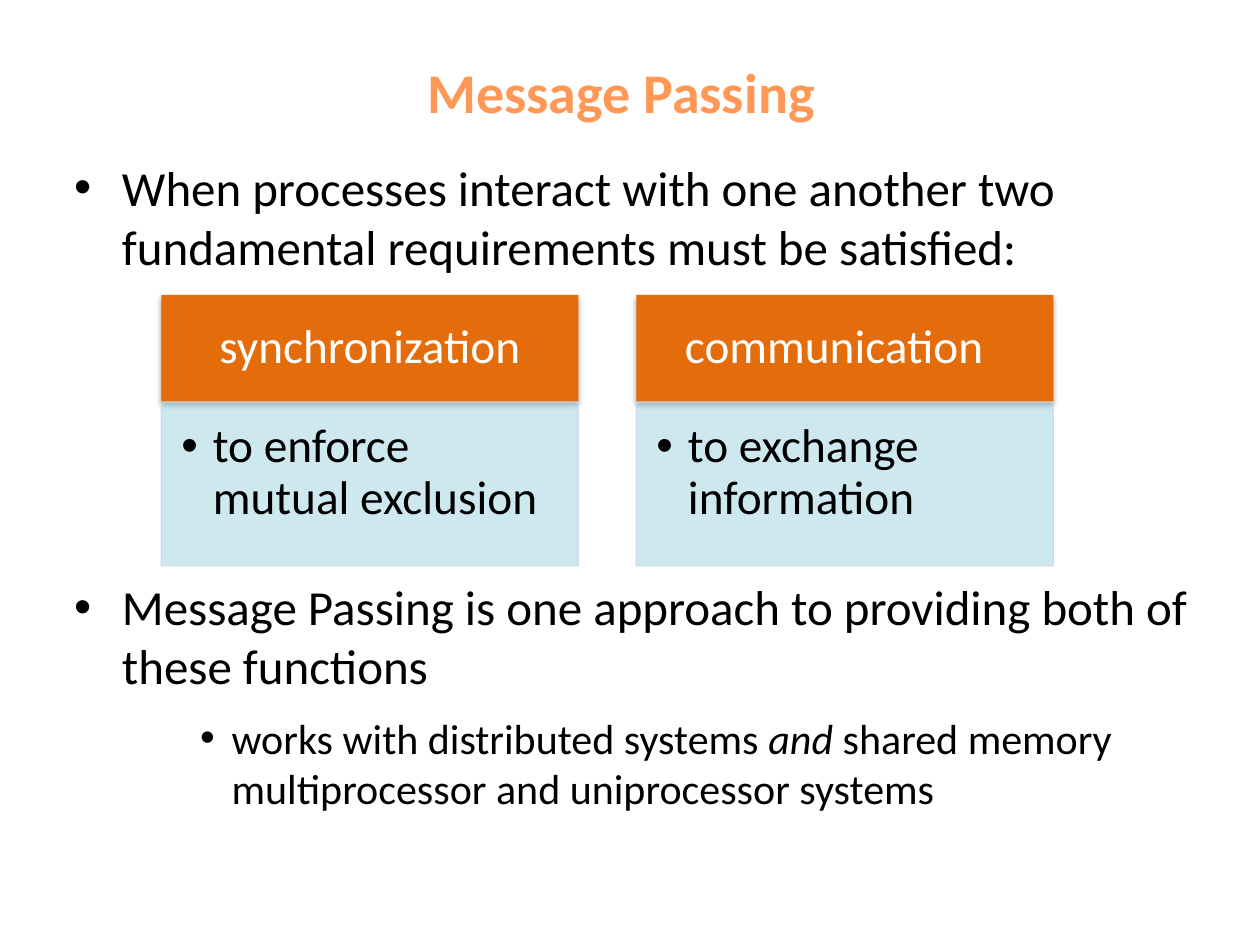
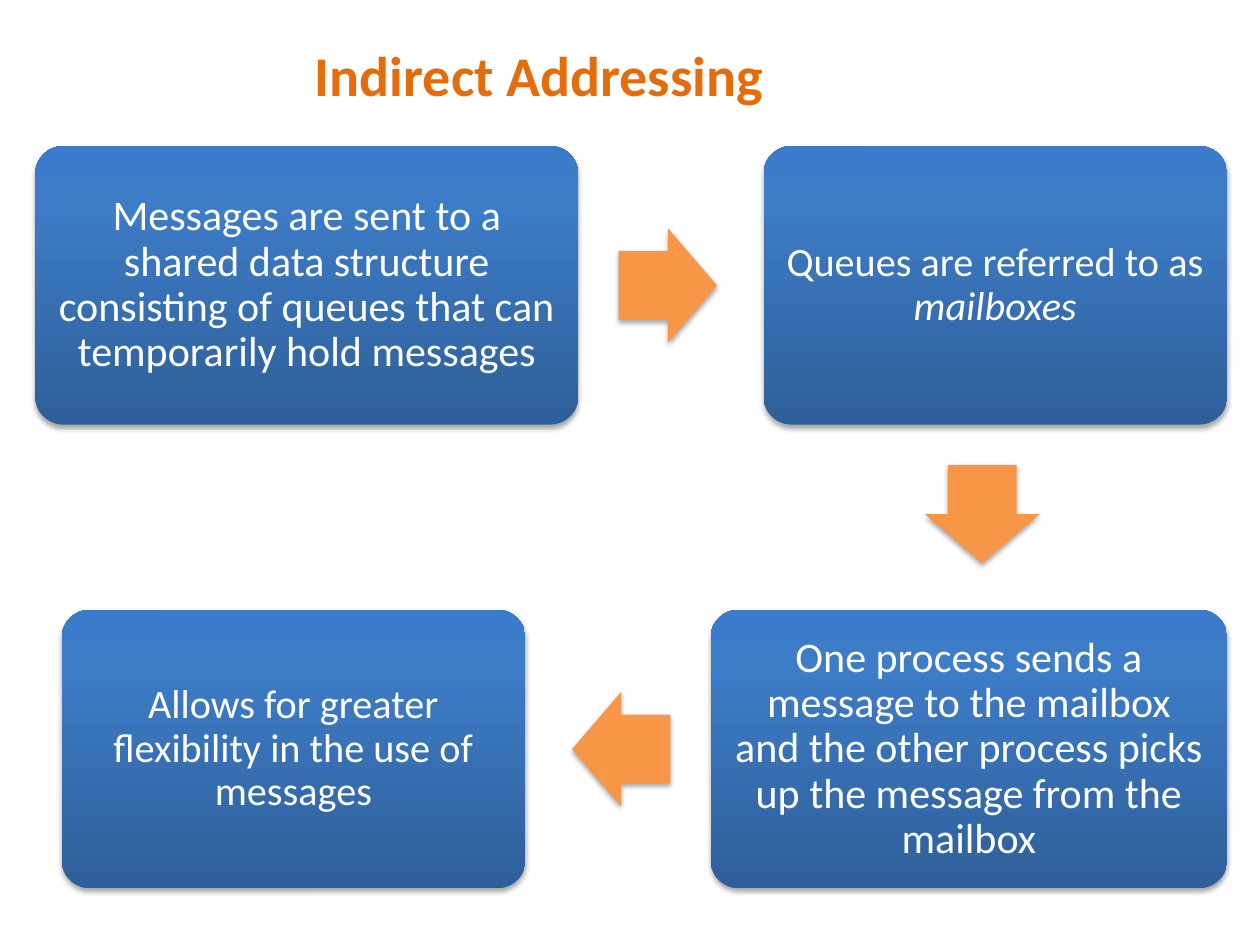
from dataclasses import dataclass

from lxml import etree
from pptx import Presentation
from pptx.dml.color import RGBColor as RGB
from pptx.enum.shapes import MSO_SHAPE as SHAPE
from pptx.enum.text import MSO_ANCHOR as ANCHOR, PP_ALIGN as ALIGN
from pptx.oxml import parse_xml
from pptx.oxml.ns import nsdecls, qn
from pptx.util import Inches, Pt


@dataclass(frozen=True)
class Theme:
    font: str = "Calibri"
    title_light: str = "FF9856"
    orange: str = "E46C0A"
    arrow: str = "F79646"
    panel: str = "93CDDD"
    panel_line: str = "D0D8E8"
    black: str = "000000"
    white: str = "FFFFFF"
    step_stops: tuple = ((0, "2F5F99"), (80, "3D7CC7"), (100, "3A7CCB"))
    title_size: int = 32
    body_size: int = 28
    card_size: int = 27
    sub_size: int = 24
    small_step_size: int = 23


T = Theme()


@dataclass(frozen=True)
class Box:
    x: float
    y: float
    w: float
    h: float

    @property
    def cx(self):
        return self.x + self.w / 2

    @property
    def cy(self):
        return self.y + self.h / 2

    def emu(self):
        return [Inches(v) for v in (self.x, self.y, self.w, self.h)]


# Formatting helpers
def set_frame(tf, insets=(0.1, 0.05, 0.1, 0.05), anchor=ANCHOR.TOP):
    tf.word_wrap = True
    tf.vertical_anchor = anchor
    (tf.margin_left, tf.margin_top,
     tf.margin_right, tf.margin_bottom) = [Inches(v) for v in insets]


def write(p, text, size, color, bold=False, align=ALIGN.LEFT, spacing=None):
    """Fill a paragraph; parts between asterisks are italic."""
    p.alignment = align
    p.line_spacing = spacing
    for i, part in enumerate(text.split("*")):
        if not part:
            continue
        r = p.add_run()
        r.text = part
        r.font.name = T.font
        r.font.size = Pt(size)
        r.font.bold = bold
        r.font.italic = i % 2 == 1
        r.font.color.rgb = RGB.from_string(color)


def add_bullet(p, left, hang):
    pPr = p._p.get_or_add_pPr()
    pPr.set("marL", str(Inches(left)))
    pPr.set("indent", str(-Inches(hang)))
    etree.SubElement(pPr, qn("a:buFont")).set("typeface", "Arial")
    etree.SubElement(pPr, qn("a:buChar")).set("char", "•")


def set_alpha(fill_parent, percent):
    color = fill_parent.find(qn("a:solidFill"))[0]
    etree.SubElement(color, qn("a:alpha")).set("val", str(percent * 1000))


def add_shadow(sp):
    sp._element.spPr.append(parse_xml(
        f'<a:effectLst {nsdecls("a")}><a:outerShdw blurRad="{Pt(3.1)}" '
        f'dist="{Pt(1.8)}" dir="5400000" rotWithShape="0">'
        f'<a:srgbClr val="{T.black}"><a:alpha val="35000"/></a:srgbClr>'
        '</a:outerShdw></a:effectLst>'))


def add_shape(s, kind, box, fill=None, shadow=True):
    sp = s.shapes.add_shape(kind, *box.emu())
    sp.shadow.inherit = False
    sp.line.fill.background()
    if fill:
        sp.fill.solid()
        sp.fill.fore_color.rgb = RGB.from_string(fill)
    if shadow:
        spPr = sp._element.spPr
        spPr.remove(spPr.find(qn("a:effectLst")))
        add_shadow(sp)
    return sp


def fill_gradient(sp, stops):
    gs = "".join(f'<a:gs pos="{pos * 1000}"><a:srgbClr val="{c}"/></a:gs>'
                 for pos, c in stops)
    sp._element.spPr.find(qn("a:prstGeom")).addnext(parse_xml(
        f'<a:gradFill {nsdecls("a")} rotWithShape="1"><a:gsLst>{gs}</a:gsLst>'
        '<a:lin ang="16200000" scaled="0"/></a:gradFill>'))


# Shared regions
def add_title(s, box, text, color):
    tf = s.shapes.add_textbox(*box.emu()).text_frame
    set_frame(tf, anchor=ANCHOR.MIDDLE)
    write(tf.paragraphs[0], text, T.title_size, color, True, ALIGN.CENTER)


def add_body(s, box, text, sub=None):
    tf = s.shapes.add_textbox(*box.emu()).text_frame
    set_frame(tf)
    p = tf.paragraphs[0]
    write(p, text, T.body_size, T.black)
    add_bullet(p, 0.38, 0.38)
    if sub:
        p = tf.add_paragraph()
        write(p, sub, T.sub_size, T.black)
        p.space_before = Pt(10)
        add_bullet(p, 1.25, 0.25)


def add_card(s, box, heading, detail, right_inset):
    head_h = 0.85
    # Heading band
    sp = add_shape(s, SHAPE.RECTANGLE, Box(box.x, box.y, box.w, head_h), T.orange)
    set_frame(sp.text_frame, (0.21, 0.12, right_inset, 0.12), ANCHOR.MIDDLE)
    write(sp.text_frame.paragraphs[0], heading, T.card_size, T.white,
          align=ALIGN.CENTER, spacing=0.9)
    # Detail panel
    panel = Box(box.x, box.y + head_h, box.w, box.h - head_h)
    sp = add_shape(s, SHAPE.RECTANGLE, panel, T.panel, shadow=False)
    set_alpha(sp._element.spPr, 46)
    sp.line.color.rgb = RGB.from_string(T.panel_line)
    sp.line.width = Pt(0.75)
    set_alpha(sp.line._ln, 90)
    set_frame(sp.text_frame, (0.16, 0.16, 0.21, 0.24))
    p = sp.text_frame.paragraphs[0]
    write(p, detail, T.card_size, T.black, spacing=0.9)
    add_bullet(p, 0.25, 0.25)


def add_step(s, box, text, size):
    sp = add_shape(s, SHAPE.ROUNDED_RECTANGLE, box)
    sp.adjustments[0] = 0.1
    fill_gradient(sp, T.step_stops)
    set_frame(sp.text_frame, (0.1,) * 4, ANCHOR.MIDDLE)
    write(sp.text_frame.paragraphs[0], text, size, T.white,
          align=ALIGN.CENTER, spacing=0.9)


def add_step_arrow(s, a, b):
    """Arrow from step a towards step b, starting a fixed gap after a."""
    length, width, gap = 0.78, 0.91, 0.32
    reach = gap + length / 2
    cx, cy = (a.cx + b.cx) / 2, (a.cy + b.cy) / 2
    if b.y > a.y:
        angle, cy = 90, a.y + a.h + reach
    elif b.x > a.x:
        angle, cx = 0, a.x + a.w + reach
    else:
        angle, cx = 180, a.x - reach
    box = Box(cx - length / 2, cy - width / 2, length, width)
    sp = add_shape(s, SHAPE.RIGHT_ARROW, box, T.arrow)
    sp.adjustments[0], sp.adjustments[1] = 0.6, 0.5
    sp.rotation = angle


# Slides
def message_passing_slide(s):
    add_title(s, Box(0.65, 0.32, 8.56, 0.8), "Message Passing", T.title_light)
    add_body(s, Box(0.49, 1.2, 9.3, 1.1),
             "When processes interact with one another two fundamental "
             "requirements must be satisfied:")
    cards = [("synchronization", "to enforce mutual exclusion", 0.21),
             ("communication", "to exchange information", 0.38)]
    for i, card in enumerate(cards):
        add_card(s, Box(1.28 + i * 3.77, 2.34, 3.31, 2.15), *card)
    add_body(s, Box(0.49, 4.53, 9.3, 2.65),
             "Message Passing is one approach to providing both of these functions",
             "works with distributed systems *and* shared memory "
             "multiprocessor and uniprocessor systems")


def indirect_addressing_slide(s):
    add_title(s, Box(0, 0, 8.56, 1.17), "Indirect Addressing", T.orange)
    top, bottom, h = 1.16, 4.84, 2.21
    steps = [
        (Box(0.28, top, 4.31, h), T.sub_size,
         "Messages are sent to a shared data structure consisting of queues "
         "that can temporarily hold messages"),
        (Box(6.06, top, 3.68, h), T.small_step_size,
         "Queues are referred to as *mailboxes*"),
        (Box(5.64, bottom, 4.1, h), T.sub_size,
         "One process sends a message to the mailbox and the other process "
         "picks up the message from the mailbox"),
        (Box(0.49, bottom, 3.68, h), T.small_step_size,
         "Allows for greater flexibility in the use of messages"),
    ]
    for box, size, text in steps:
        add_step(s, box, text, size)
    for (a, *_), (b, *_) in zip(steps, steps[1:]):
        add_step_arrow(s, a, b)


def main():
    prs = Presentation()
    prs.slide_width, prs.slide_height = Inches(10), Inches(7.5)
    for build in (message_passing_slide, indirect_addressing_slide):
        build(prs.slides.add_slide(prs.slide_layouts[6]))
    prs.save("out.pptx")


if __name__ == "__main__":
    main()
